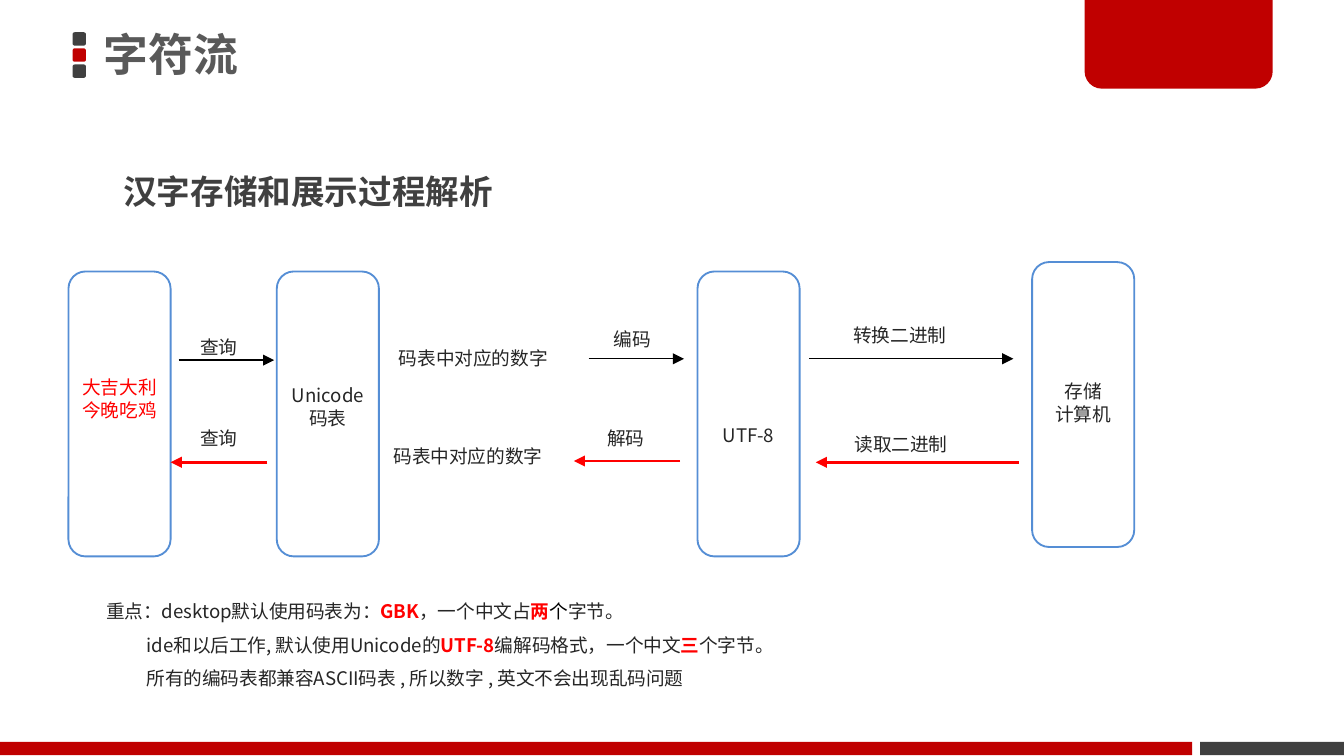
from pptx import Presentation
from pptx.dml.color import RGBColor
from pptx.enum import shapes, text
from pptx.oxml.ns import qn
from pptx.util import Inches, Pt
from lxml import etree

FONT = "Noto Sans CJK SC"
RED, DARK, INK, ALERT = "C00000", "404040", "262626", "FF0000"
SHAPE = shapes.MSO_SHAPE
LEFT, CENTER = text.PP_ALIGN.LEFT, text.PP_ALIGN.CENTER


def rgb(value):
    return RGBColor.from_string(value)


def add_run(p, words, color=INK, size=10, bold=False, font=FONT):
    r = p.add_run()
    r.text = words
    for name, value in dict(name=font, size=Pt(size), bold=bold).items():
        setattr(r.font, name, value)
    r.font.color.rgb = rgb(color)
    etree.SubElement(r._r.get_or_add_rPr(), qn("a:ea"), typeface=FONT)


def format_frame(tf, **changes):
    values = dict(word_wrap=True, auto_size=text.MSO_AUTO_SIZE.NONE,
                  vertical_anchor=text.MSO_ANCHOR.TOP,
                  margin_left=Inches(0.1), margin_right=Inches(0.1),
                  margin_top=Inches(0.05), margin_bottom=Inches(0.05))
    for name, value in {**values, **changes}.items():
        setattr(tf, name, value)


def place(sp, box):
    for name, value in zip(("left", "top", "width", "height"), box):
        setattr(sp, name, Inches(value))


def add_block(s, kind, box, fill=None, line=None):
    sp = s.shapes.add_shape(kind, *map(Inches, box))
    sp.shadow.inherit = False
    if fill:
        sp.fill.solid()
        sp.fill.fore_color.rgb = rgb(fill)
    else:
        sp.fill.background()
    if line:
        sp.line.color.rgb = rgb(line)
        sp.line.width = Pt(1)
    else:
        sp.line.fill.background()
    return sp


def add_label(s, box, words, wrap=False, spacing=None, **style):
    tf = s.shapes.add_textbox(*map(Inches, box)).text_frame
    format_frame(tf, word_wrap=wrap)
    p = tf.paragraphs[0]
    if spacing:
        p.line_spacing = spacing
    add_run(p, words, **style)


def add_header(s, box):
    x, y, w, h = box
    for row, color in enumerate((DARK, RED, DARK)):
        add_block(s, SHAPE.ROUNDED_RECTANGLE,
                  (x + 0.54, y + 0.24 + 0.12 * row, 0.1, 0.1), color)
    tab = add_block(s, SHAPE.ROUND_2_SAME_RECTANGLE,
                    (x + w - 1.93, y - 0.02, 1.4, 0.68), RED)
    tab.adjustments[0], tab.adjustments[1] = 0, 0.19
    title = s.shapes.title
    place(title, (x + 0.69, y - 0.02, 5.89, h))
    format_frame(title.text_frame, vertical_anchor=text.MSO_ANCHOR.MIDDLE,
                 margin_left=Inches(0.08), margin_right=Inches(0.08),
                 margin_top=Inches(0.04), margin_bottom=Inches(0.04))
    p = title.text_frame.paragraphs[0]
    p.alignment, p.line_spacing = LEFT, 0.9
    add_run(p, "字符流", "595959", 24, True)


def add_footer(s, box):
    x, y, w, h = box
    add_block(s, SHAPE.RECTANGLE, (x, y, w - 1.13, h), RED)
    add_block(s, SHAPE.RECTANGLE, (x + w - 1.07, y, 1.07, h), DARK)


def add_card(s, box, label_top, lines, **style):
    card = add_block(s, SHAPE.ROUNDED_RECTANGLE, box, line="558ED5")
    tf = card.text_frame
    format_frame(tf, margin_left=0, margin_right=0,
                 margin_top=Inches(label_top))
    for i, words in enumerate(lines):
        p = tf.add_paragraph() if i else tf.paragraphs[0]
        p.alignment = CENTER
        add_run(p, words, **style)


def add_arrow(s, start, end, y, color, width):
    line = s.shapes.add_connector(shapes.MSO_CONNECTOR.STRAIGHT,
                                  *map(Inches, (start, y, end, y)))
    line.line.color.rgb = rgb(color)
    line.line.width = Pt(width)
    etree.SubElement(line.line._get_or_add_ln(), qn("a:tailEnd"), type="triangle")
    etree.SubElement(line._element.spPr, qn("a:effectLst"))


def add_flow(s, box):
    """Encoding runs left to right on the upper row, decoding back on the lower."""
    x, y, _, h = box
    cards = [
        (0, 0.07, 0.74, ("大吉大利", "今晚吃鸡"), dict(color=ALERT, font="Calibri")),
        (1.55, 0.07, 0.8, ("Unicode", "码表"), {}),
        (4.68, 0.07, 1.1, ("UTF-8",), {}),
        (7.17, 0, 0.84, ("存储", "计算机"), {}),
    ]
    for dx, dy, label_top, lines, style in cards:
        add_card(s, (x + dx, y + dy, 0.76, h), label_top, lines, **style)

    encode, decode = ("000000", 0.75), (ALERT, 1.5)
    arrows = [
        (0.82, 1.53, 0.73, encode), (3.87, 4.58, 0.72, encode),
        (5.51, 7.03, 0.72, encode), (1.48, 0.76, 1.49, decode),
        (4.55, 3.76, 1.48, decode), (7.07, 5.56, 1.49, decode),
    ]
    for start, end, dy, look in arrows:
        add_arrow(s, x + start, x + end, y + dy, *look)

    labels = [
        (0.88, 0.5, 0.47, "查询"), (2.36, 0.58, 1.3, "码表中对应的数字"),
        (3.96, 0.44, 0.47, "编码"), (5.74, 0.41, 0.89, "转换二进制"),
        (0.88, 1.18, 0.56, "查询"), (2.32, 1.31, 1.47, "码表中对应的数字"),
        (3.91, 1.18, 0.58, "解码"), (5.75, 1.22, 1.44, "读取二进制"),
    ]
    for dx, dy, w, words in labels:
        add_label(s, (x + dx, y + dy, w, 0.27), words)


def add_notes(s, box):
    key = dict(color=ALERT, bold=True)
    notes = [
        (0, [("重点：desktop默认使用码表为：", {}), ("GBK", key),
             ("，一个中文占", {}), ("两", key),
             ("个", dict(color="000000")), ("字节。", {})]),
        (0.3, [("ide和以后工作, 默认使用Unicode的", {}), ("UTF-8", key),
               ("编解码格式，一个中文", {}), ("三", key), ("个字节。", {})]),
        (0.3, [("所有的编码表都兼容ASCII码表 , 所以数字 , 英文不会出现乱码问题", {})]),
    ]
    body = s.placeholders[1]
    place(body, box)
    tf = body.text_frame
    format_frame(tf)
    for i, (indent, runs) in enumerate(notes):
        p = tf.add_paragraph() if i else tf.paragraphs[0]
        pPr = p._p.get_or_add_pPr()
        pPr.set("marL", str(Inches(indent)))
        pPr.set("indent", "0")
        etree.SubElement(pPr, qn("a:buNone"))
        p.alignment, p.line_spacing, p.space_before = LEFT, 1.5, Pt(0)
        for words, style in runs:
            add_run(p, words, **style)


def main():
    prs = Presentation()
    prs.slide_width = Inches(10)
    prs.slide_height = prs.slide_width * 9 // 16
    s = prs.slides.add_slide(prs.slide_layouts[1])
    add_header(s, (0, 0, 10, 0.89))
    add_footer(s, (0, 5.52, 10, 0.1))
    add_label(s, (0.82, 1.07, 7.76, 0.55), "汉字存储和展示过程解析",
              wrap=True, spacing=1.5, color=DARK, size=18, bold=True)
    add_flow(s, (0.51, 1.95, 7.92, 2.12))
    add_notes(s, (0.69, 4.33, 6.36, 0.85))
    prs.save("out.pptx")


if __name__ == "__main__":
    main()
